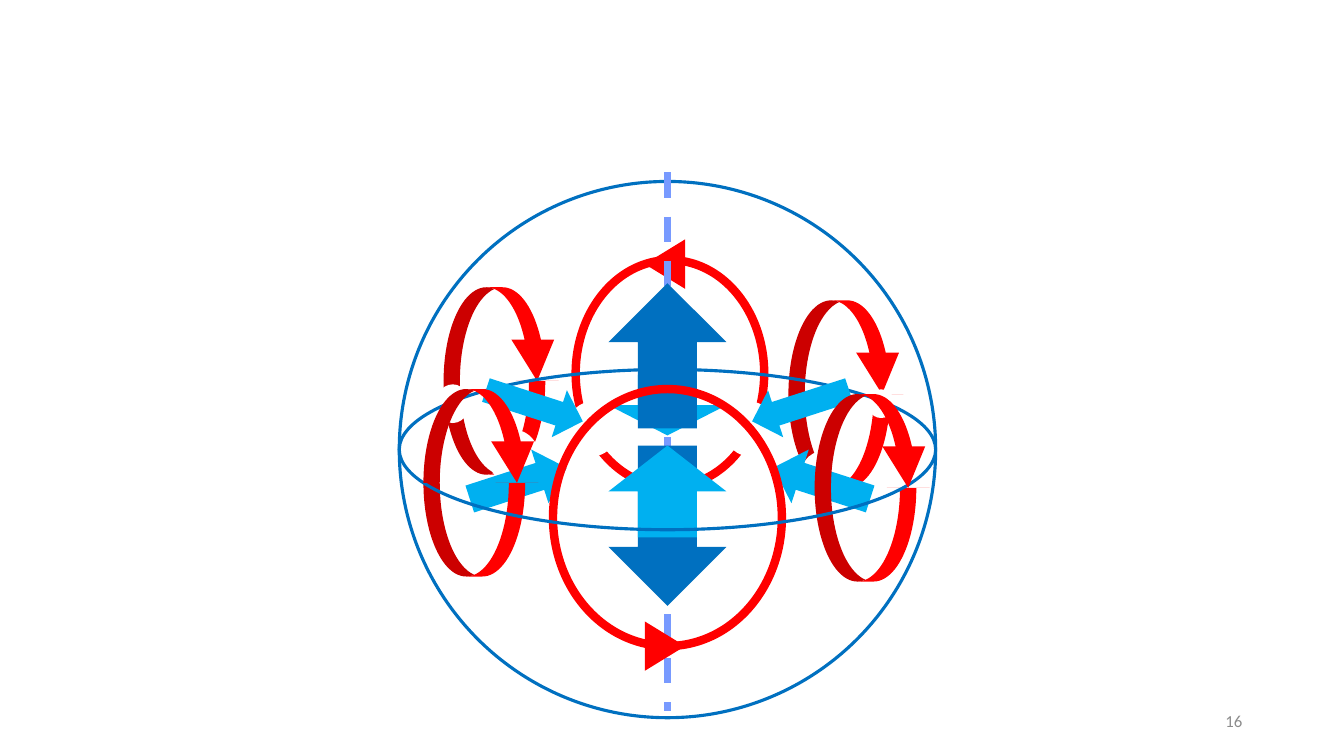
import pptx
import pptx.util
import pptx.dml.color
import pptx.enum.dml
import pptx.enum.shapes
import pptx.enum.text
import lxml.etree

SHAPE = pptx.enum.shapes.MSO_SHAPE
RED, DARK_BLUE, LIGHT_BLUE, WHITE = "FF0000", "0070C0", "00B0F0", "FFFFFF"
AXIS_BLUE, GREY = "789AFF", "8C8C8C"
GLOBE_UNITS = 532  # globe diameter in grid units


def colour(hex_code):
    return pptx.dml.color.RGBColor.from_string(hex_code)


class Globe:
    """Grid with its origin at the globe's centre, x to the right and y down."""

    def __init__(self, slide, left, top, diameter):
        self.shapes = slide.shapes
        self.unit = diameter / GLOBE_UNITS
        self.centre_x = left + diameter / 2
        self.centre_y = top + diameter / 2

    def point(self, x, y):
        return int(self.centre_x + x * self.unit), int(self.centre_y + y * self.unit)

    def add(self, kind, x, y, width, height, fill=None, line=None, weight=1, turn=0):
        """Add a preset shape centred on (x, y)."""
        left, top = self.point(x - width / 2, y - height / 2)
        part = self.shapes.add_shape(
            kind, left, top, int(width * self.unit), int(height * self.unit))
        part.shadow.inherit = False
        part.rotation = turn
        if fill:
            part.fill.solid()
            part.fill.fore_color.rgb = colour(fill)
        else:
            part.fill.background()
        if line:
            part.line.color.rgb = colour(line)
            part.line.width = pptx.util.Pt(weight)
        else:
            part.line.fill.background()
        return part

    def add_half_loop(self, x, y, upper):
        """Add half of a red loop centred on (x, y); only the upper has a head."""
        height = 93
        shift = -height / 2 if upper else height / 2
        half = self.add(SHAPE.CURVED_DOWN_ARROW, x, y + shift, 114, height, RED)
        for index, value in enumerate((0.174, 0.456, 0.441 if upper else 0)):
            half.adjustments[index] = value
        if not upper:
            half.element.spPr.xfrm.set("flipV", "1")

    def add_axis(self, top, bottom):
        axis = self.shapes.add_connector(
            pptx.enum.shapes.MSO_CONNECTOR.STRAIGHT,
            *self.point(0, top), *self.point(0, bottom))
        axis.line.color.rgb = colour(AXIS_BLUE)
        axis.line.width = pptx.util.Pt(4.5)
        axis.line.dash_style = pptx.enum.dml.MSO_LINE.DASH
        lxml.etree.SubElement(axis.element.spPr, pptx.oxml.ns.qn("a:effectLst"))


def draw_globe(slide, left, top, diameter):
    globe = Globe(slide, left, top, diameter)

    # Back ring and outline of the globe
    globe.add(SHAPE.OVAL, 2.5, -75.5, 187, 225, line=RED, weight=6)
    globe.add(SHAPE.OVAL, 0, 0, GLOBE_UNITS, GLOBE_UNITS, line=DARK_BLUE, weight=2.25)

    # Back loops, with gaps where the front parts pass
    for x, y in ((177, -55), (-165, -68)):
        for upper in (False, True):
            globe.add_half_loop(x, y, upper)
    gaps = ((212, -45.5, 26, 27), (155.5, 21.5, 43, 39), (81.5, -20.5, 49, 53),
            (-74.5, -20.5, 49, 53), (-213, -45.5, 32, 37), (-152.5, 7.5, 49, 53))
    for gap in gaps:
        globe.add(SHAPE.OVAL, *gap, fill=WHITE, line=WHITE)

    # Ring arrowheads and axis
    for y in (-184, -57):
        globe.add(SHAPE.ISOSCELES_TRIANGLE, -2.5, y, 49, 40, RED, turn=270)
    globe.add_axis(-275, 259)

    # Outflow along the axis and inflow along the equator
    globe.add(SHAPE.DOWN_ARROW, 0, 75.5, 117, 159, DARK_BLUE)
    globe.add(SHAPE.ISOSCELES_TRIANGLE, -2.5, 195, 49, 40, RED, turn=90)
    globe.add(SHAPE.DOWN_ARROW, 0, -44, 117, 60, LIGHT_BLUE)
    globe.add(SHAPE.DOWN_ARROW, 0, 41.5, 117, 91, LIGHT_BLUE, turn=180)
    for x, turn in ((-148, 252.1), (153, 107.9)):
        globe.add(SHAPE.DOWN_ARROW, x, 33.5, 56, 101, LIGHT_BLUE, turn=turn)
    globe.add(SHAPE.DOWN_ARROW, 0, -93, 117, 144, DARK_BLUE, turn=180)

    # Front ring, front loops and equator
    front_loops = ((-185, 33), (203, 38))
    globe.add(SHAPE.OVAL, 0, 67.5, 227, 255, line=RED, weight=6)
    for x, y in front_loops:
        globe.add_half_loop(x, y, upper=False)
    globe.add(SHAPE.OVAL, 0, 0, GLOBE_UNITS, 159, line=DARK_BLUE, weight=2.25)
    for x, turn in ((132, 72.1), (-132, 287.9)):
        globe.add(SHAPE.DOWN_ARROW, x, -43.5, 49, 101, LIGHT_BLUE, turn=turn)
    for x, y in front_loops:
        globe.add_half_loop(x, y, upper=True)


def add_page_number(slide, left, top, width, height, number):
    box = slide.shapes.add_textbox(left, top, width, height)
    frame = box.text_frame
    frame.word_wrap = True
    frame.vertical_anchor = pptx.enum.text.MSO_ANCHOR.MIDDLE
    paragraph = frame.paragraphs[0]
    paragraph.alignment = pptx.enum.text.PP_ALIGN.RIGHT
    run = paragraph.add_run()
    run.text = number
    run.font.name = "Calibri"
    run.font.size = pptx.util.Pt(12)
    run.font.color.rgb = colour(GREY)


def main():
    deck = pptx.Presentation()
    deck.slide_width = pptx.util.Inches(13.33)
    deck.slide_height = pptx.util.Inches(7.5)
    slide = deck.slides.add_slide(deck.slide_layouts[6])
    inches = pptx.util.Inches
    draw_globe(slide, inches(3.96), inches(1.8), inches(5.32))
    add_page_number(slide, inches(9.42), inches(6.95), inches(3), inches(0.4), "16")
    deck.save("out.pptx")


if __name__ == "__main__":
    main()
